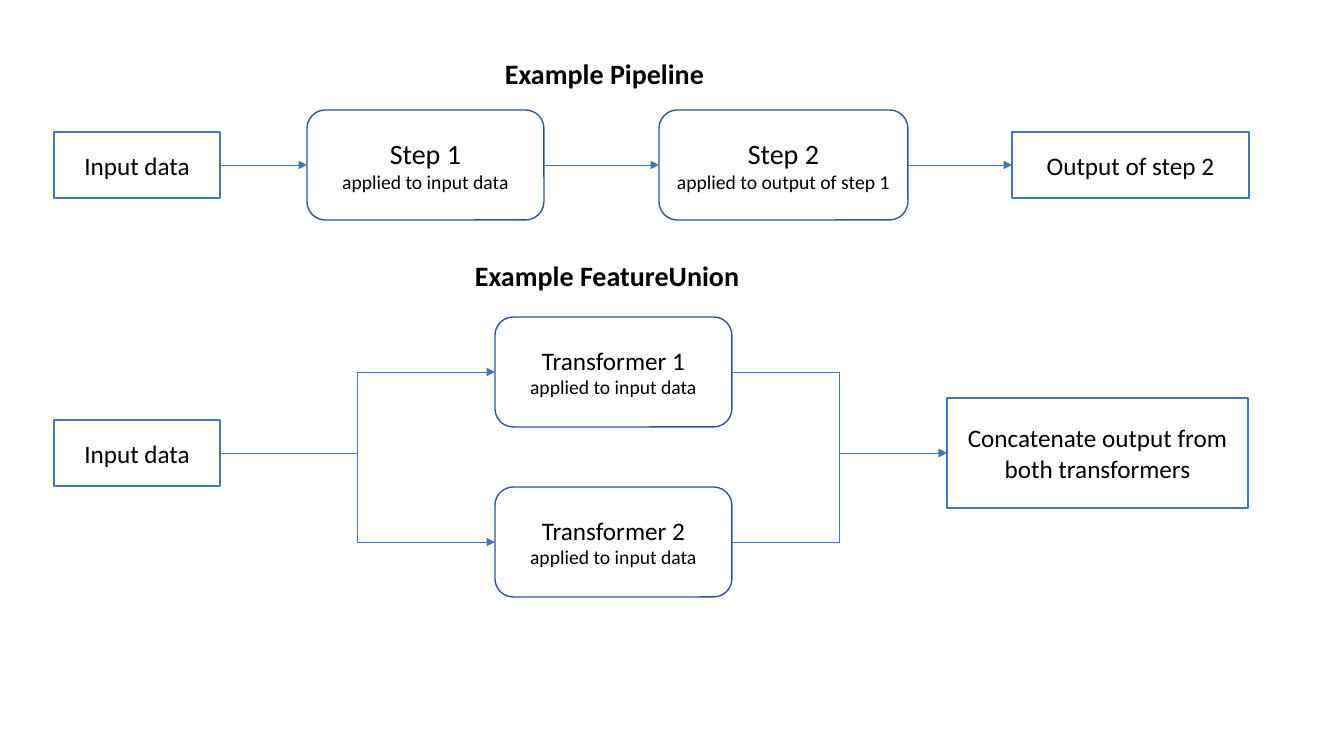
from lxml import etree
from pptx import Presentation
from pptx import util as u
from pptx.dml.color import RGBColor
from pptx.enum import shapes, text
from pptx.oxml.ns import qn

FONT = "Calibri"
COLORS = {"text": "000000", "data": "4472C4", "step": "325491", "paper": "FFFFFF"}
SLIDE_SIZE = (1344, 756)
DETAIL_PT = 14

# heading: left, top, width, height in px
HEADINGS = {
    "Example Pipeline": (495, 52, 237, 44),
    "Example FeatureUnion": (465, 254, 297, 44),
}
# key: left, centre y, width, height in px, text
DATA_BOXES = {
    "pipe_in": (54, 165, 166, 66, "Input data"),
    "pipe_out": (1012, 165, 237, 66, "Output of step 2"),
    "union_in": (54, 453, 166, 66, "Input data"),
    "union_out": (947, 453, 301, 110, "Concatenate output from both transformers"),
}
# key: left, centre y, width, height in px, name, name size in pt, detail
STEP_BOXES = {
    "step1": (307, 165, 237, 110, "Step 1", 20, "applied to input data"),
    "step2": (659, 165, 249, 110, "Step 2", 20, "applied to output of step 1"),
    "trans1": (495, 372, 237, 110, "Transformer 1", 18, "applied to input data"),
    "trans2": (495, 542, 237, 110, "Transformer 2", 18, "applied to input data"),
}
STRAIGHT = [("pipe_in", "step1"), ("step1", "step2"), ("step2", "pipe_out")]
ELBOW = [("union_in", "trans1"), ("union_in", "trans2"),
         ("trans1", "union_out"), ("trans2", "union_out")]
LEFT_SIDE, RIGHT_SIDE = 1, 3


def px(n):
    return u.Emu(round(n * 914400 / 100.8))


def color(name):
    return RGBColor.from_string(COLORS[name])


def write(tf, lines, align=None, bold=None):
    """Fill a text frame with one paragraph per (text, size) pair."""
    tf.word_wrap = True
    tf.text = "\n".join(line for line, _ in lines)
    for p, (_, size) in zip(tf.paragraphs, lines):
        p.alignment = align
        for r in p.runs:
            r.font.name, r.font.size, r.font.bold = FONT, u.Pt(size), bold
            r.font.color.rgb = color("text")


def add_box(slide, kind, line, left, middle, width, height, lines):
    sp = slide.shapes.add_shape(
        kind, px(left), px(middle - height / 2), px(width), px(height))
    sp.shadow.inherit = False
    sp.line.color.rgb = color(line)
    sp.line.width = u.Pt(1)
    sp.text_frame.vertical_anchor = text.MSO_ANCHOR.MIDDLE
    write(sp.text_frame, lines, text.PP_ALIGN.CENTER)
    return sp


def add_arrow(slide, kind, start, end):
    c = slide.shapes.add_connector(kind, 0, 0, 0, 0)
    c.begin_connect(start, RIGHT_SIDE)
    c.end_connect(end, LEFT_SIDE)
    c.line.color.rgb = color("data")
    c.line.width = u.Pt(0.5)
    etree.SubElement(c.line._get_or_add_ln(), qn("a:tailEnd"), type="triangle")
    etree.SubElement(c._element.spPr, qn("a:effectLst"))


def main():
    prs = Presentation()
    prs.slide_width, prs.slide_height = map(px, SLIDE_SIZE)
    slide = prs.slides.add_slide(prs.slide_layouts[6])

    boxes = {}
    for key, (*place, label) in DATA_BOXES.items():
        sp = add_box(slide, shapes.MSO_SHAPE.RECTANGLE, "data", *place, [(label, 18)])
        sp.fill.solid()
        sp.fill.fore_color.rgb = color("paper")
        boxes[key] = sp
    for key, (*place, name, size, detail) in STEP_BOXES.items():
        sp = add_box(slide, shapes.MSO_SHAPE.ROUNDED_RECTANGLE, "step", *place,
                     [(name, size), (detail, DETAIL_PT)])
        sp.fill.background()
        boxes[key] = sp

    for kind, pairs in ((shapes.MSO_CONNECTOR.STRAIGHT, STRAIGHT),
                        (shapes.MSO_CONNECTOR.ELBOW, ELBOW)):
        for start, end in pairs:
            add_arrow(slide, kind, boxes[start], boxes[end])

    for heading, place in HEADINGS.items():
        tf = slide.shapes.add_textbox(*map(px, place)).text_frame
        write(tf, [(heading, 20)], bold=True)
        tf.auto_size = text.MSO_AUTO_SIZE.SHAPE_TO_FIT_TEXT

    prs.save("out.pptx")


if __name__ == "__main__":
    main()
